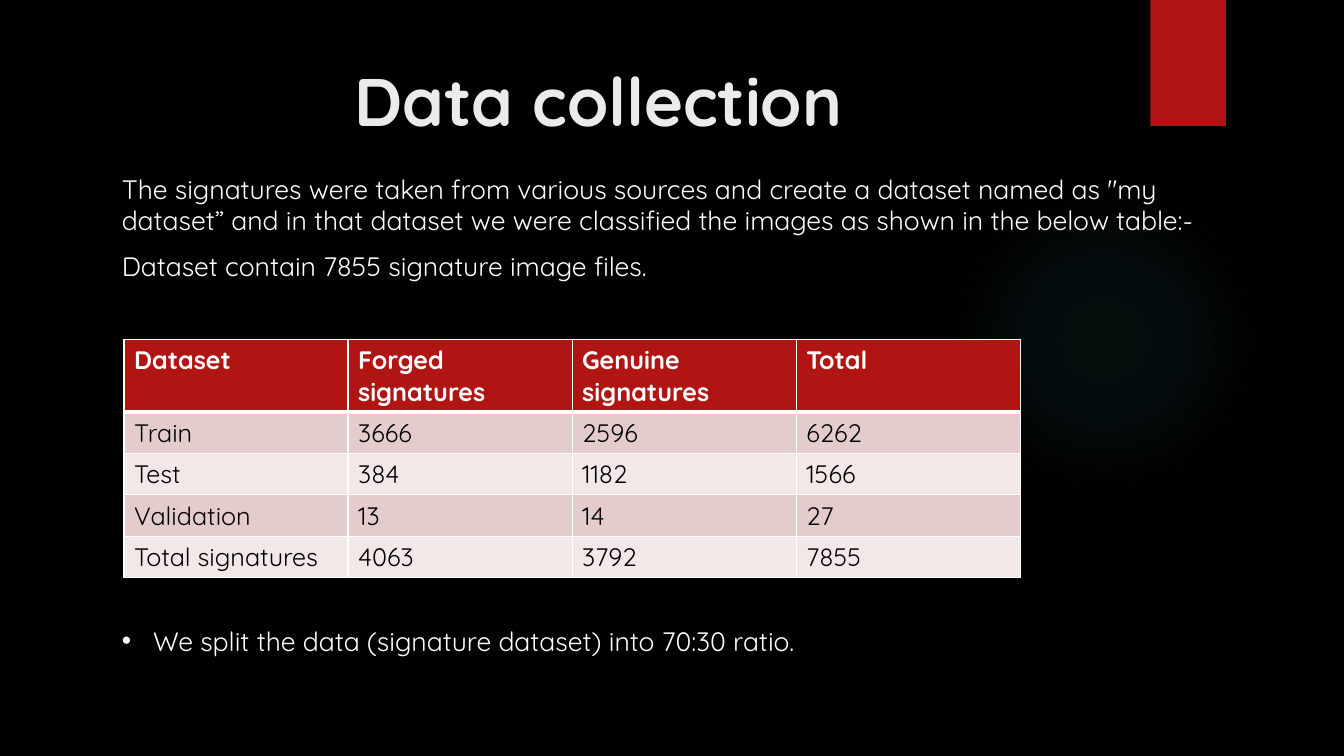
from lxml.etree import SubElement as Sub
from pptx import Presentation
from pptx.dml.color import RGBColor as Rgb
from pptx.enum.shapes import MSO_SHAPE as Geo
from pptx.enum.text import MSO_ANCHOR as Anchor, PP_ALIGN as Align
from pptx.oxml import parse_xml
from pptx.oxml.ns import nsdecls, qn
from pptx.util import Inches, Pt

FONT = "Quicksand"
HUES = {"back": "000000", "red": "B01513", "title": "EBEBEB", "white": "FFFFFF",
        "black": "000000", "odd": "E4CCCC", "even": "F2E8E7", "glow": "50B9C1"}
GLOW = [(0, 7), (36, 6), (69, 0)]
INTRO = [
    "The signatures were taken from various sources and create a dataset named as "
    "\"my dataset” and in that dataset we were classified the images as shown in "
    "the below table:-",
    "Dataset contain 7855 signature image files.",
]
ROWS = [
    ["Dataset", "Forged signatures", "Genuine signatures", "Total"],
    ["Train", "3666", "2596", "6262"],
    ["Test", "384", "1182", "1566"],
    ["Validation", "13", "14", "27"],
    ["Total signatures", "4063", "3792", "7855"],
]


def hue(name):
    """Return the named colour."""
    return Rgb.from_string(HUES[name])


def write(frame, lines, size=19, color="white", bold=False, align=Align.LEFT,
          anchor=Anchor.TOP, before=0, bullet=False):
    """Fill a text frame with formatted paragraphs."""
    frame.word_wrap = True
    frame.vertical_anchor = anchor
    for i, line in enumerate(lines):
        para = frame.add_paragraph() if i else frame.paragraphs[0]
        para.alignment = align
        para.space_before = Pt(before)
        run = para.add_run()
        run.text = line
        font = run.font
        font.name, font.size, font.bold = FONT, Pt(size), bold
        font.color.rgb = hue(color)
        if bullet:
            props = para._p.get_or_add_pPr()
            props.set("marL", str(Inches(0.31)))
            props.set("indent", str(-Inches(0.31)))
            Sub(props, qn("a:buFont"), typeface="Arial")
            Sub(props, qn("a:buChar"), char="•")


def add_text(slide, box, lines, **style):
    """Add a text box at the given place."""
    shape = slide.shapes.add_textbox(*map(Inches, box))
    write(shape.text_frame, lines, **style)


def add_block(slide, geo, box, color):
    """Add a plain filled shape without outline or shadow."""
    shape = slide.shapes.add_shape(geo, *map(Inches, box))
    shape.shadow.inherit = False
    shape.fill.solid()
    shape.fill.fore_color.rgb = hue(color)
    shape.line.fill.background()
    return shape


def add_glow(slide, box):
    """Add a faint ellipse that fades out from its centre."""
    shape = add_block(slide, Geo.OVAL, box, "glow")
    stops = "".join(
        f'<a:gs pos="{pos * 1000}"><a:srgbClr val="{HUES["glow"]}">'
        f'<a:alpha val="{alpha * 1000}"/></a:srgbClr></a:gs>'
        for pos, alpha in GLOW)
    grad = parse_xml(
        f'<a:gradFill {nsdecls("a")}><a:gsLst>{stops}</a:gsLst>'
        '<a:path path="circle"><a:fillToRect l="50000" t="50000" r="50000" '
        'b="50000"/></a:path></a:gradFill>')
    props = shape._element.spPr
    props.replace(props.find(qn("a:solidFill")), grad)


def set_edges(cell, top, base):
    """Draw white borders round a cell."""
    props = cell._tc.get_or_add_tcPr()
    for side, width in zip("LRTB", (1, 1, top, base)):
        line = Sub(props, qn(f"a:ln{side}"), w=str(Pt(width)))
        Sub(Sub(line, qn("a:solidFill")), qn("a:srgbClr"), val=HUES["white"])


def add_grid(slide, box, rows):
    """Add the banded table with its red header."""
    grid = slide.shapes.add_table(len(rows), len(rows[0]), *map(Inches, box)).table
    for r, row in enumerate(rows):
        head = r == 0
        grid.rows[r].height = Inches(0.72 if head else 0.41)
        for c, text in enumerate(row):
            cell = grid.cell(r, c)
            set_edges(cell, 3 if r == 1 else 1, 3 if head else 1)
            cell.fill.solid()
            cell.fill.fore_color.rgb = hue("red" if head else "odd" if r % 2 else "even")
            write(cell.text_frame, [text], size=18, bold=head,
                  color="white" if head else "black")


def main():
    """Build and save the slide."""
    deck = Presentation()
    deck.slide_width, deck.slide_height = Inches(13.33), Inches(7.5)
    slide = deck.slides.add_slide(deck.slide_layouts[6])
    slide.background.fill.solid()
    slide.background.fill.fore_color.rgb = hue("back")
    add_glow(slide, (9.41, 1.83, 3.08, 3.08))
    add_block(slide, Geo.RECTANGLE, (11.41, 0, 0.75, 1.25), "red")
    add_text(slide, (1.11, 0.54, 9.65, 2.17), ["Data collection"], size=48,
             color="title", bold=True, align=Align.CENTER)
    add_text(slide, (1.11, 1.04, 10.87, 2.43), INTRO, anchor=Anchor.MIDDLE, before=10)
    add_grid(slide, (1.23, 3.37, 8.89, 2.36), ROWS)
    add_text(slide, (1.11, 6.15, 8.29, 0.42),
             ["We split the data (signature dataset) into 70:30 ratio."], bullet=True)
    deck.save("out.pptx")


if __name__ == "__main__":
    main()
